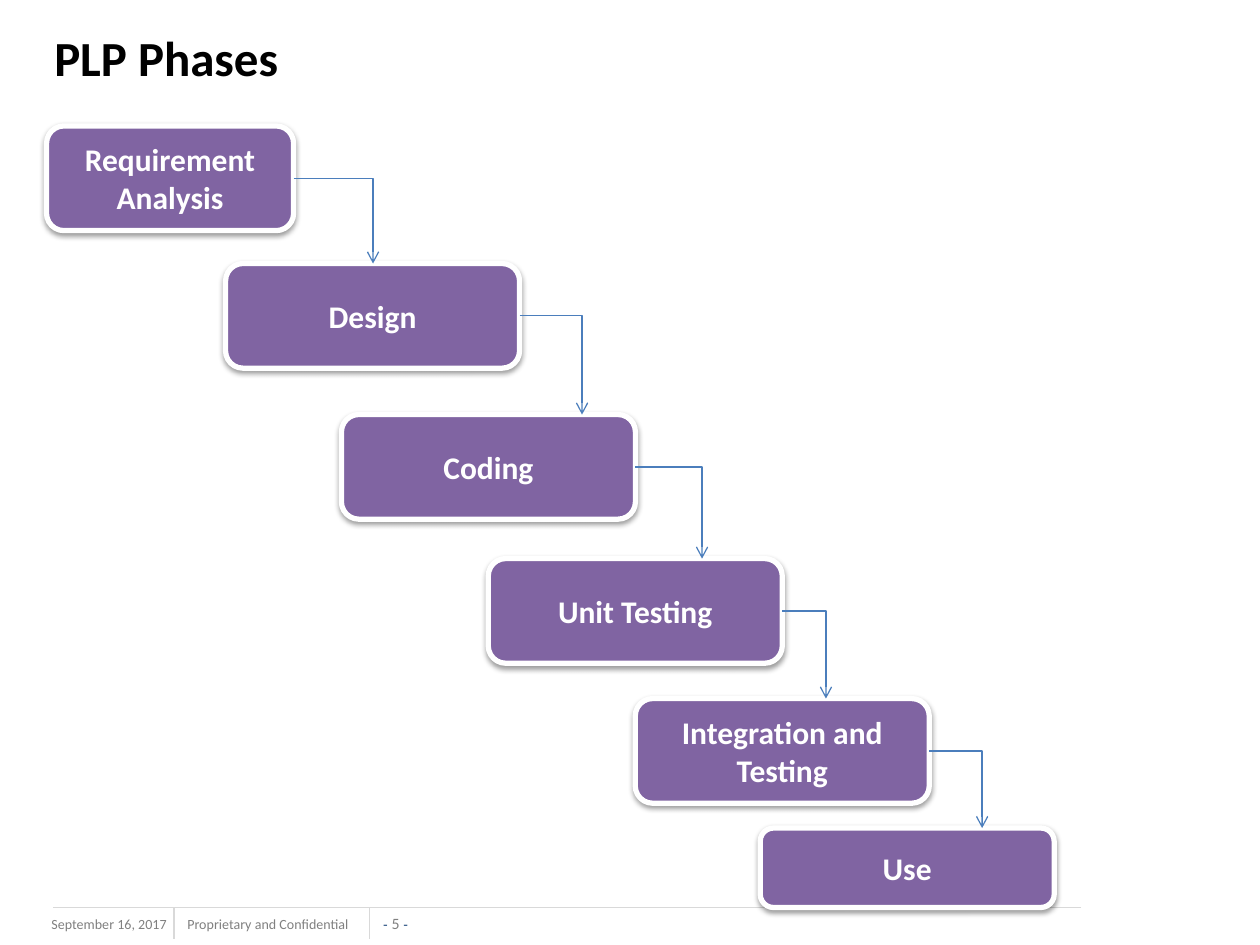
from dataclasses import dataclass

import pptx
import pptx.dml.color
import pptx.enum.shapes
import pptx.enum.text
import pptx.oxml
import pptx.oxml.ns
import pptx.util

Pt = pptx.util.Pt
ALIGN = pptx.enum.text.PP_ALIGN
ANCHOR = pptx.enum.text.MSO_ANCHOR
AUTO = pptx.enum.text.MSO_AUTO_SIZE
NS = pptx.oxml.ns.nsdecls("a")

COLORS = {
    "title": "000000",
    "phase": "8064A2",
    "white": "FFFFFF",
    "arrow": "4B7EBC",
    "rule": "D9D9D9",
    "footer": "808080",
    "dash": "1F497D",
}


@dataclass
class Phase:
    text: str
    left: float
    top: float
    width: float = 168
    height: float = 59.8
    drop_x: float | None = None  # where the arrow to the next phase comes down


PHASES = [
    Phase("Requirement Analysis", 26.6, 72, width=141.2, drop_x=213.2),
    Phase("Design", 128.9, 150.6, drop_x=332.6),
    Phase("Coding", 195.1, 236.9, drop_x=401.2),
    Phase("Unit Testing", 279, 319.2, drop_x=472),
    Phase("Integration and Testing", 363, 399.2, drop_x=561.2),
    Phase("Use", 434.4, 473.2, height=45.4),
]


def rgb(name: str) -> pptx.dml.color.RGBColor:
    return pptx.dml.color.RGBColor.from_string(COLORS[name])


def style(r, size: float, color: str, font: str = "Calibri", bold: bool = False) -> None:
    r.font.name = font
    r.font.size = Pt(size)
    r.font.bold = bold
    r.font.color.rgb = rgb(color)


def add_line(shapes, x1: float, y1: float, x2: float, y2: float, color: str, arrow: bool = False):
    kind = pptx.enum.shapes.MSO_CONNECTOR
    sp = shapes.add_connector(kind.ELBOW if arrow else kind.STRAIGHT, Pt(x1), Pt(y1), Pt(x2), Pt(y2))
    sp.line.color.rgb = rgb(color)
    sp.line.width = Pt(0.75)
    if arrow:
        # One right-angle bend and an open arrowhead
        sp._element.spPr.prstGeom.set("prst", "bentConnector2")
        sp.line._get_or_add_ln().append(pptx.oxml.parse_xml(f'<a:tailEnd {NS} type="arrow"/>'))
    sp._element.spPr.append(pptx.oxml.parse_xml(f"<a:effectLst {NS}/>"))


def add_phase(shapes, phase: Phase) -> None:
    sp = shapes.add_shape(
        pptx.enum.shapes.MSO_SHAPE.ROUNDED_RECTANGLE,
        Pt(phase.left), Pt(phase.top), Pt(phase.width), Pt(phase.height))
    sp.fill.solid()
    sp.fill.fore_color.rgb = rgb("phase")
    sp.line.color.rgb = rgb("white")
    sp.line.width = Pt(3)
    sp.shadow.inherit = False
    effects = sp._element.spPr.find(pptx.oxml.ns.qn("a:effectLst"))
    effects.append(pptx.oxml.parse_xml(
        f'<a:outerShdw {NS} blurRad="{Pt(3.1)}" dist="{Pt(1.6)}" dir="5400000" rotWithShape="0">'
        '<a:srgbClr val="000000"><a:alpha val="38000"/></a:srgbClr></a:outerShdw>'))
    tf = sp.text_frame
    tf.text = phase.text
    tf.vertical_anchor = ANCHOR.MIDDLE
    tf.paragraphs[0].alignment = ALIGN.CENTER
    style(tf.paragraphs[0].runs[0], 18, "white", bold=True)


def add_footer(shapes, text: str, left: float, width: float) -> None:
    tf = shapes.add_textbox(Pt(left), Pt(519.8), Pt(width), Pt(17.6)).text_frame
    tf.text = text
    style(tf.paragraphs[0].runs[0], 8, "footer")


prs = pptx.Presentation()
prs.slide_width, prs.slide_height = Pt(720), Pt(540)
slide = prs.slides.add_slide(prs.slide_layouts[5])
shapes = slide.shapes

# Footer
add_footer(shapes, "September 16, 2017", 22.3, 95.8)
add_footer(shapes, "Proprietary and Confidential", 100, 113)
tf = shapes.add_textbox(Pt(216.7), Pt(522), Pt(18.7), Pt(10.8)).text_frame
tf.margin_left = tf.margin_right = tf.margin_top = tf.margin_bottom = 0
tf.vertical_anchor = ANCHOR.BOTTOM
tf.word_wrap = False
p = tf.paragraphs[0]
p.alignment = ALIGN.CENTER
for text, size, color, font in [
    ("- ", 8, "dash", "Arial"),
    ("5 ", 9, "footer", "Calibri"),
    ("-", 8, "dash", "Arial"),
]:
    r = p.add_run()
    r.text = text
    style(r, size, color, font)
add_line(shapes, 617.8, 518.4, 30.2, 518.4, "rule")
for x in (99.4, 211):
    add_line(shapes, x, 518.4, x, 536.4, "rule")

# Title
title = shapes.title
title.left, title.top, title.width, title.height = Pt(23.8), Pt(1.4), Pt(648), Pt(62.6)
tf = title.text_frame
tf.text = "PLP Phases"
tf.auto_size = AUTO.NONE
tf.vertical_anchor = ANCHOR.MIDDLE
tf.paragraphs[0].alignment = ALIGN.LEFT
style(tf.paragraphs[0].runs[0], 28, "title", bold=True)

# Phases, then the arrows stepping down between them
for phase in PHASES:
    add_phase(shapes, phase)
for phase, following in zip(PHASES, PHASES[1:]):
    add_line(shapes, phase.left + phase.width, phase.top + phase.height / 2,
             phase.drop_x, following.top, "arrow", arrow=True)

prs.save("out.pptx")
